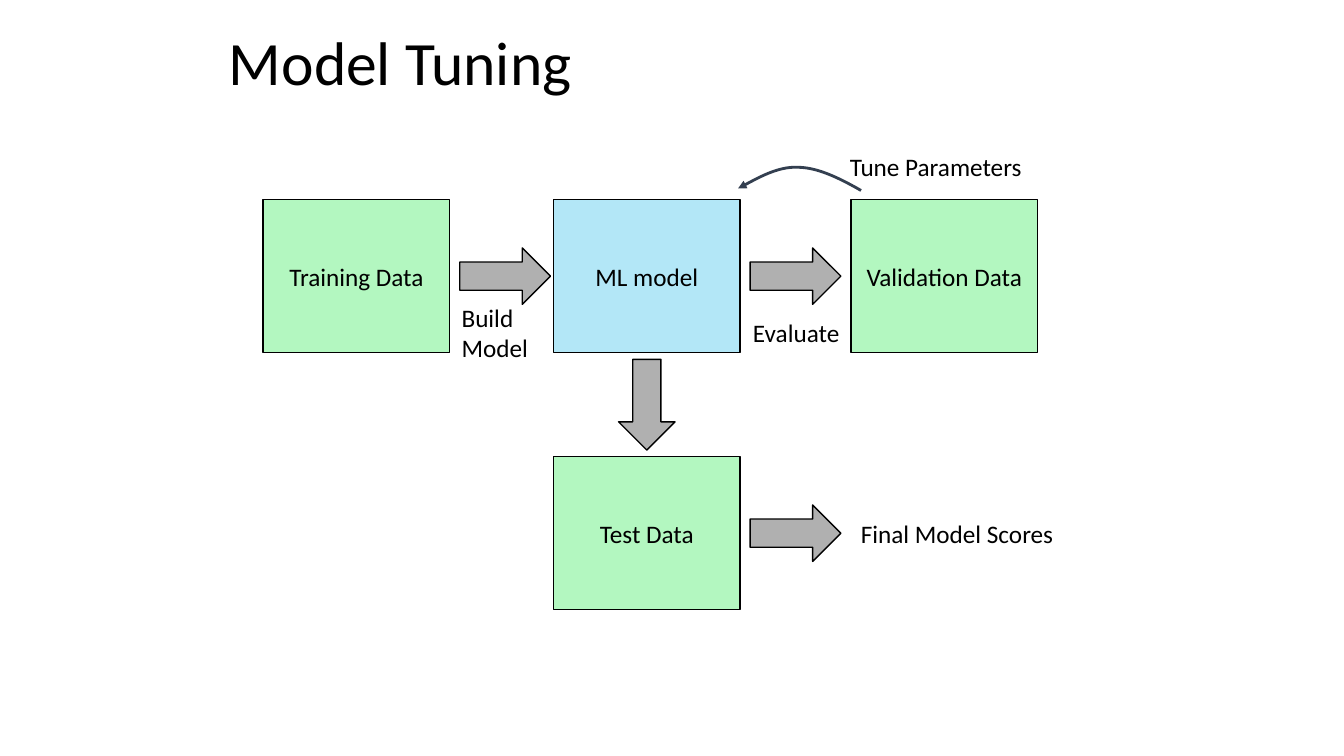
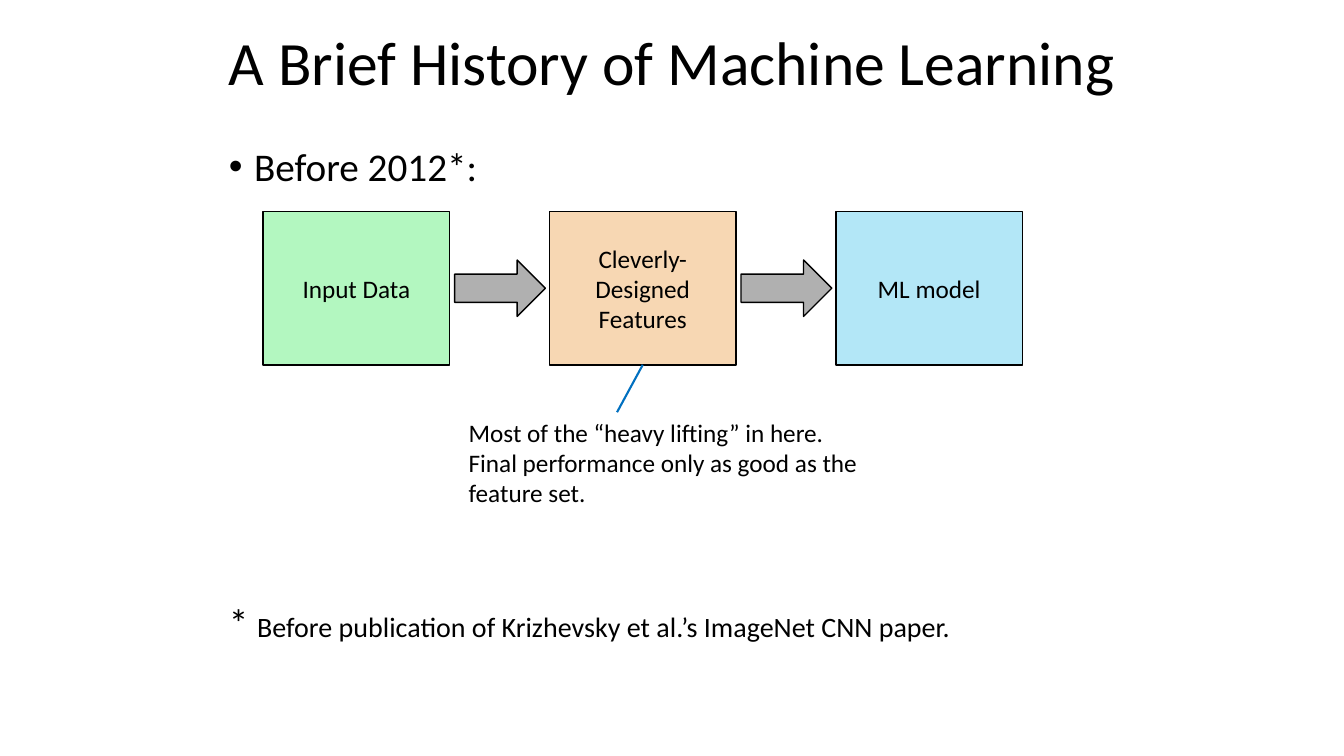
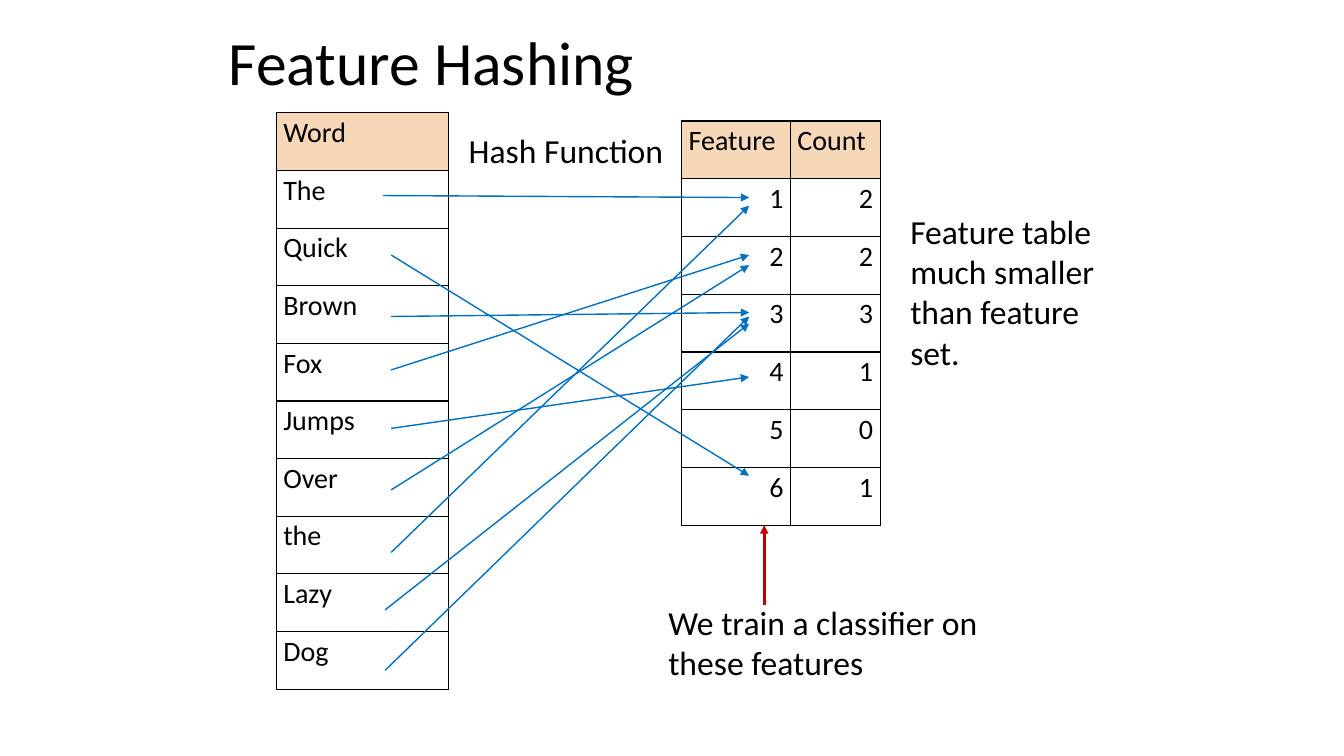
from lxml import etree
from pptx import Presentation
from pptx.dml.color import RGBColor
from pptx.enum import shapes, text
from pptx.oxml import ns
from pptx.util import Inches, Pt

FONT = "Calibri"
BLACK = RGBColor(0x00, 0x00, 0x00)
GREEN = RGBColor(0xB3, 0xF7, 0xC0)
SKY = RGBColor(0xB3, 0xE7, 0xF7)
PEACH = RGBColor(0xF7, 0xD7, 0xB3)
HEADER = RGBColor(0xF6, 0xD7, 0xB8)
GRAY = RGBColor(0xB0, 0xB0, 0xB0)
SLATE = RGBColor(0x33, 0x3F, 0x50)
BLUE = RGBColor(0x00, 0x70, 0xC0)
RED = RGBColor(0xC0, 0x00, 0x00)

TITLE_ONLY, TITLE_AND_BODY = 5, 1
CONTENT_LEFT, CONTENT_WIDTH = 2.17, 9
BOX_WIDTH, BOX_HEIGHT = 1.85, 1.52
ARROW_WIDTH, ARROW_HEIGHT = 0.9, 0.56


def style_text(frame, size, align=text.PP_ALIGN.LEFT, line_spacing=None):
    for paragraph in frame.paragraphs:
        paragraph.alignment = align
        paragraph.line_spacing = line_spacing
        paragraph.font.name = FONT
        paragraph.font.size = Pt(size)
        paragraph.font.color.rgb = BLACK


def place(shape, left, top, width, height):
    shape.left, shape.top = Inches(left), Inches(top)
    shape.width, shape.height = Inches(width), Inches(height)


def add_titled_slide(presentation, layout, title):
    slide = presentation.slides.add_slide(presentation.slide_layouts[layout])
    place(slide.shapes.title, CONTENT_LEFT, 0.12, CONTENT_WIDTH, 1.06)
    frame = slide.shapes.title.text_frame
    frame.text = title
    frame.auto_size = text.MSO_AUTO_SIZE.NONE
    frame.vertical_anchor = text.MSO_ANCHOR.MIDDLE
    style_text(frame, 44, line_spacing=0.9)
    return slide


def add_outlined(slide, kind, fill, left, top, width, height):
    shape = slide.shapes.add_shape(
        kind, Inches(left), Inches(top), Inches(width), Inches(height))
    shape.shadow.inherit = False
    shape.fill.solid()
    shape.fill.fore_color.rgb = fill
    shape.line.color.rgb = BLACK
    shape.line.width = Pt(1)
    return shape


def add_stage(slide, label, fill, left, top):
    """Add one labelled box of a flow diagram."""
    box = add_outlined(slide, shapes.MSO_SHAPE.RECTANGLE, fill,
                       left, top, BOX_WIDTH, BOX_HEIGHT)
    box.text_frame.text = label
    box.text_frame.word_wrap = True
    box.text_frame.vertical_anchor = text.MSO_ANCHOR.MIDDLE
    style_text(box.text_frame, 18, text.PP_ALIGN.CENTER)
    return box


def add_block_arrow(slide, center_x, center_y, rotation=0):
    arrow = add_outlined(slide, shapes.MSO_SHAPE.RIGHT_ARROW, GRAY,
                         center_x - ARROW_WIDTH / 2, center_y - ARROW_HEIGHT / 2,
                         ARROW_WIDTH, ARROW_HEIGHT)
    arrow.rotation = rotation


def add_arrow_after(slide, left, top, gap):
    """Add a block arrow to the right of the stage at left, top."""
    add_block_arrow(slide, left + BOX_WIDTH + gap + ARROW_WIDTH / 2, top + BOX_HEIGHT / 2)


def add_label(slide, words, left, top, width, height, size=18):
    label = slide.shapes.add_textbox(
        Inches(left), Inches(top), Inches(width), Inches(height))
    label.text_frame.text = words
    label.text_frame.word_wrap = False
    label.text_frame.auto_size = text.MSO_AUTO_SIZE.SHAPE_TO_FIT_TEXT
    style_text(label.text_frame, size)


def add_arrowhead(line):
    etree.SubElement(line.get_or_add_ln(), ns.qn("a:tailEnd"), type="triangle")


def add_line(slide, start, end, color, width, arrow=True):
    line = slide.shapes.add_connector(
        shapes.MSO_CONNECTOR.STRAIGHT, *(Inches(value) for value in start + end))
    line.line.color.rgb = color
    line.line.width = Pt(width)
    etree.SubElement(line._element.spPr, ns.qn("a:effectLst"))
    if arrow:
        add_arrowhead(line)
    return line


def add_curved_arrow(slide, start, controls):
    """Add a Bezier arrow; controls holds three points for each segment."""
    builder = slide.shapes.build_freeform(
        Inches(start[0]), Inches(start[1]))
    builder.add_line_segments(
        [(Inches(x), Inches(y)) for x, y in controls], close=False)
    curve = builder.convert_to_shape()
    segments = curve._element.xpath(".//a:lnTo")
    for first, second, third in zip(*[iter(segments)] * 3):
        first.tag = ns.qn("a:cubicBezTo")
        for segment in (second, third):
            first.append(segment[0])
            segment.getparent().remove(segment)
    curve.shadow.inherit = False
    curve.fill.background()
    curve.line.color.rgb = SLATE
    curve.line.width = Pt(2)
    add_arrowhead(curve)


def add_cell_borders(cell):
    properties = cell._tc.get_or_add_tcPr()
    for index, side in enumerate(("lnL", "lnR", "lnT", "lnB")):
        border = etree.Element(ns.qn(f"a:{side}"), w=str(Pt(1)))
        fill = etree.SubElement(border, ns.qn("a:solidFill"))
        etree.SubElement(fill, ns.qn("a:srgbClr"), val=str(BLACK))
        properties.insert(index, border)


def add_grid(slide, rows, left, top, widths, height, body_align):
    """Add a bordered table whose first row is the header."""
    table = slide.shapes.add_table(
        len(rows), len(widths), Inches(left), Inches(top),
        Inches(sum(widths)), Inches(height)).table
    table.first_row = table.horz_banding = False
    for column, width in zip(table.columns, widths):
        column.width = Inches(width)
    for row_index, row in enumerate(rows):
        for column_index, value in enumerate(row):
            cell = table.cell(row_index, column_index)
            cell.text = value
            cell.margin_left = cell.margin_right = Inches(0.07)
            cell.margin_top = cell.margin_bottom = Inches(0.03)
            style_text(cell.text_frame, 20,
                       body_align if row_index else text.PP_ALIGN.JUSTIFY)
            cell.text_frame.paragraphs[0].space_before = Pt(6)
            if row_index:
                cell.fill.background()
            else:
                cell.fill.solid()
                cell.fill.fore_color.rgb = HEADER
            add_cell_borders(cell)


def add_model_tuning(presentation):
    slide = add_titled_slide(presentation, TITLE_ONLY, "Model Tuning")
    training, model, validation = 2.61, 5.49, 8.44
    upper, lower, gap = 1.98, 4.53, 0.1
    for label, fill, left, top in (
            ("Training Data", GREEN, training, upper),
            ("ML model", SKY, model, upper),
            ("Validation Data", GREEN, validation, upper),
            ("Test Data", GREEN, model, lower)):
        add_stage(slide, label, fill, left, top)
    for left, top in ((training, upper), (model, upper), (model, lower)):
        add_arrow_after(slide, left, top, gap)
    add_block_arrow(slide, model + BOX_WIDTH / 2,
                    (upper + BOX_HEIGHT + lower) / 2, rotation=90)
    add_curved_arrow(slide, (8.54, 1.89), [
        (8.33, 1.77), (8.11, 1.66), (7.91, 1.66),
        (7.71, 1.65), (7.32, 1.87), (7.32, 1.87)])
    add_label(slide, "Tune Parameters", 8.33, 1.45, 1.98, 0.4)
    add_label(slide, "Evaluate", 7.37, 3.1, 1.07, 0.4)
    add_label(slide, "Build\vModel", 4.48, 2.95, 0.87, 0.71)
    add_label(slide, "Final Model Scores", 8.44, 5.09, 2.13, 0.4)


def set_bullet(paragraph, indent, character=None):
    properties = paragraph._p.get_or_add_pPr()
    properties.set("marL", str(Inches(indent)))
    properties.set("indent", str(-Inches(indent)))
    if character:
        etree.SubElement(properties, ns.qn("a:buFont"), typeface="Arial")
        etree.SubElement(properties, ns.qn("a:buChar"), char=character)
    else:
        etree.SubElement(properties, ns.qn("a:buNone"))


def fill_history_body(body):
    place(body, CONTENT_LEFT, 1.41, CONTENT_WIDTH, 5.35)
    frame = body.text_frame
    frame.auto_size = text.MSO_AUTO_SIZE.NONE
    frame.text = "Before 2012*:"
    heading, footnote = frame.paragraphs[0], frame.add_paragraph()
    footnote.add_run().text = "* "
    source = footnote.add_run()
    source.text = "Before publication of Krizhevsky et al.’s ImageNet CNN paper."
    source.font.size = Pt(20)
    set_bullet(heading, 0.25, "•")
    set_bullet(footnote, 0)
    style_text(frame, 28, line_spacing=0.9)
    heading.space_before = Pt(10)
    footnote.space_before = Pt(296)


def add_history(presentation):
    slide = add_titled_slide(presentation, TITLE_AND_BODY,
                             "A Brief History of Machine Learning")
    fill_history_body(slide.placeholders[1])
    left, top, pitch = 2.61, 2.1, 2.84
    stages = (("Input Data", GREEN),
              ("Cleverly-Designed\vFeatures", PEACH),
              ("ML model", SKY))
    boxes = [add_stage(slide, label, fill, left + index * pitch, top)
             for index, (label, fill) in enumerate(stages)]
    for index in range(len(stages) - 1):
        add_arrow_after(slide, left + index * pitch, top, gap=0.05)
    add_label(slide, "Most of the “heavy lifting” in here.\n"
              "Final performance only as good as the\vfeature set.",
              4.55, 4.09, 4.09, 1.01)
    pointer = add_line(slide, (6.38, 3.62), (6.12, 4.09), BLUE, 1.5, arrow=False)
    pointer.begin_connect(boxes[1], 2)


def add_feature_hashing(presentation):
    slide = add_titled_slide(presentation, TITLE_ONLY, "Feature Hashing")
    words = ("Word", "The", "Quick", "Brown", "Fox", "Jumps",
             "Over", "the", "Lazy", "Dog")
    add_grid(slide, [(word,) for word in words],
             2.74, 1.12, (1.71,), 5.72, text.PP_ALIGN.JUSTIFY)
    counts = [(str(feature), count) for feature, count in enumerate("223101", 1)]
    add_grid(slide, [("Feature", "Count")] + counts,
             6.76, 1.2, (1.08, 0.89), 4.01, text.PP_ALIGN.RIGHT)
    for start_x, start_y, end_y in (
            (3.8, 1.94, 1.96), (3.88, 2.53, 4.72), (3.88, 3.14, 3.1),
            (3.88, 3.67, 2.53), (3.88, 4.25, 3.74), (3.88, 4.86, 2.63),
            (3.88, 5.48, 2.04), (3.82, 6.05, 3.21), (3.82, 6.65, 3.14)):
        add_line(slide, (start_x, start_y), (7.43, end_y), BLUE, 1)
    add_label(slide, "Hash Function", 4.55, 1.24, 2.15, 0.5, 24)
    add_label(slide, "Feature table\vmuch smaller\vthan feature\vset.",
              8.93, 2.04, 2.04, 1.72, 24)
    add_label(slide, "We train a classifier on\vthese features",
              6.53, 5.92, 3.3, 0.91, 24)
    add_line(slide, (7.58, 6), (7.58, 5.21), RED, 2)


def main():
    presentation = Presentation()
    presentation.slide_width = Inches(13.33)
    presentation.slide_height = Inches(7.5)
    add_model_tuning(presentation)
    add_history(presentation)
    add_feature_hashing(presentation)
    presentation.save("out.pptx")


if __name__ == "__main__":
    main()
